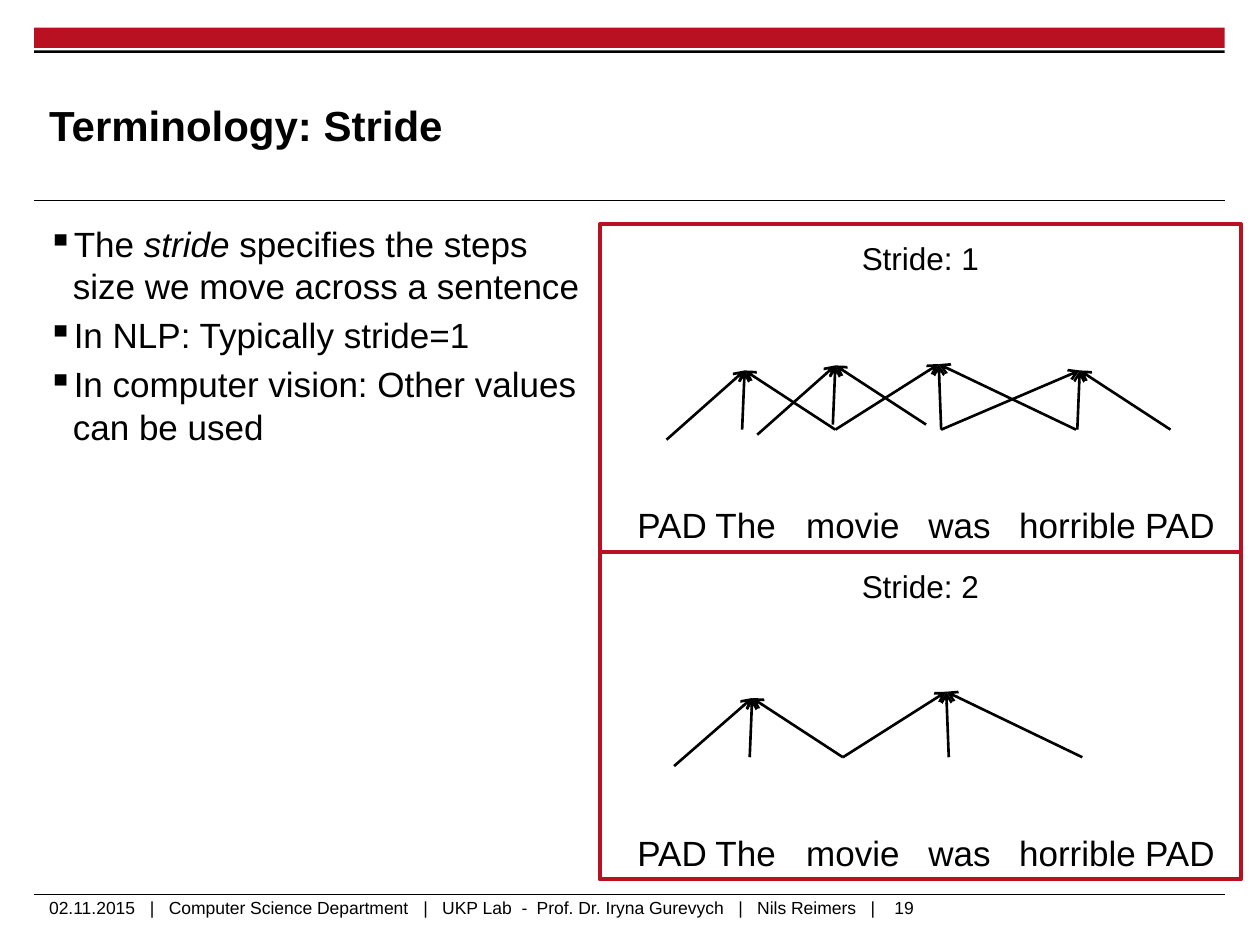
from lxml import etree
from pptx import Presentation
from pptx.dml.color import RGBColor
from pptx.enum import shapes, text
from pptx.oxml.ns import qn
from pptx.util import Inches, Pt


class Theme:
    font = "Arial"
    black = RGBColor(0x00, 0x00, 0x00)
    red = RGBColor(0xB9, 0x10, 0x22)
    title, body, label, footer = 24, 20, 18, 10
    rule, arrow, frame = 0.6, 1.5, 2.25


TITLE = "Terminology: Stride"
# Each bullet is a list of (text, italic) runs.
BULLETS = [
    [("The ", False), ("stride", True),
     (" specifies the steps size we move across a sentence", False)],
    [("In NLP: Typically stride=1", False)],
    [("In computer vision: Other values can be used", False)],
]
WORDS = ["PAD", "The", "movie", "was", "horrible", "PAD"]
WORD_TABS = [0.62, 1.34, 2.31, 3.03, 4.03]
FOOTER = ["02.11.2015", "|", "Computer Science Department", "|", "UKP Lab", "-",
          "Prof. Dr. Iryna Gurevych", "|", "Nils Reimers", "|"]
FOOTER_TABS = [0.80, 0.95, 2.97, 3.12, 3.75, 3.87, 5.47, 5.62, 6.52]
PAGE_NUMBER = "19"

# Each window is (tip, starts of the arrows that meet there).
PANELS = [
    ("Stride: 1", [
        ((5.91, 2.94), [(5.89, 3.41), (6.63, 3.41), (5.29, 3.49)]),
        ((6.63, 2.90), [(6.61, 3.37), (7.35, 3.37), (6.01, 3.45)]),
        ((7.45, 2.89), [(7.47, 3.41), (8.54, 3.41), (6.63, 3.41)]),
        ((8.57, 2.94), [(8.55, 3.41), (9.29, 3.41), (7.47, 3.41)]),
    ]),
    ("Stride: 2", [
        ((5.97, 5.54), [(5.95, 6.01), (6.69, 6.01), (5.35, 6.08)]),
        ((7.51, 5.49), [(7.53, 6.01), (8.59, 6.01), (6.69, 6.01)]),
    ]),
]
PANEL_LEFT, PANEL_TOP, PANEL_WIDTH, PANEL_HEIGHT = 4.76, 1.78, 5.09, 2.6


def add_rectangle(slide, box, fill=None, line=None):
    shape = slide.shapes.add_shape(shapes.MSO_SHAPE.RECTANGLE, *map(Inches, box))
    shape.shadow.inherit = False
    if fill is None:
        shape.fill.background()
    else:
        shape.fill.solid()
        shape.fill.fore_color.rgb = fill
    if line is None:
        shape.line.fill.background()
    else:
        shape.line.color.rgb = line
        shape.line.width = Pt(Theme.frame)


def add_line(slide, start, end, width, arrow=False):
    line = slide.shapes.add_connector(
        shapes.MSO_CONNECTOR.STRAIGHT, *map(Inches, start + end))
    line.line.color.rgb = Theme.black
    line.line.width = Pt(width)
    if arrow:
        etree.SubElement(line.line._get_or_add_ln(), qn("a:tailEnd"), type="arrow")
    etree.SubElement(line._element.spPr, qn("a:effectLst"))


def add_text_frame(slide, box, inset=True, wrap=True):
    frame = slide.shapes.add_textbox(*map(Inches, box)).text_frame
    frame.word_wrap = wrap
    if not inset:
        frame.margin_left = frame.margin_right = 0
        frame.margin_top = frame.margin_bottom = 0
    return frame


def style(paragraph, size, bold=False):
    font = paragraph.font
    font.name, font.size, font.bold = Theme.font, Pt(size), bold
    font.color.rgb = Theme.black


def write(frame, content, size, bold=False, align=None):
    paragraph = frame.paragraphs[0]
    paragraph.text = content
    paragraph.alignment = align
    style(paragraph, size, bold)


def write_tabbed(frame, parts, stops, size):
    """Set the parts on one line, each after the first at its own tab stop."""
    properties = frame.paragraphs[0]._p.get_or_add_pPr()
    tabs = etree.SubElement(properties, qn("a:tabLst"))
    for stop in stops:
        etree.SubElement(tabs, qn("a:tab"), pos=str(Inches(stop)), algn="l")
    write(frame, "\t".join(parts), size)


def add_bullets(slide):
    frame = add_text_frame(slide, (0.28, 1.72, 4.53, 1.99))
    for index, runs in enumerate(BULLETS):
        paragraph = frame.add_paragraph() if index else frame.paragraphs[0]
        if index:
            paragraph.space_before = Pt(4)
        properties = paragraph._p.get_or_add_pPr()
        properties.set("marL", str(Inches(0.2)))
        properties.set("indent", str(Inches(-0.2)))
        etree.SubElement(properties, qn("a:buChar"), char="▪")
        for content, italic in runs:
            run = paragraph.add_run()
            run.text = content
            if italic:
                run.font.italic = True
        style(paragraph, Theme.body)


def add_panel(slide, top, label, windows):
    for tip, starts in windows:
        for start in starts:
            add_line(slide, start, tip, Theme.arrow, arrow=True)
    sentence = add_text_frame(slide, (4.96, top + 2.17, 4.89, 0.43))
    write_tabbed(sentence, WORDS, WORD_TABS, Theme.body)
    heading = add_text_frame(slide, (PANEL_LEFT, top + 0.07, PANEL_WIDTH, 0.4))
    write(heading, label, Theme.label, align=text.PP_ALIGN.CENTER)
    add_rectangle(slide, (PANEL_LEFT, top, PANEL_WIDTH, PANEL_HEIGHT), line=Theme.red)


def add_page_frame(slide):
    add_rectangle(slide, (0.27, 0.22, 9.45, 0.16), fill=Theme.red)
    add_rectangle(slide, (0.27, 0.4, 9.45, 0.02), fill=Theme.black)
    for y in (1.59, 7.1):
        add_line(slide, (0.27, y), (9.72, y), Theme.rule)
    number = add_text_frame(slide, (7, 7.07, 0.48, 0.27), wrap=False)
    write(number, PAGE_NUMBER, Theme.footer)
    footer = add_text_frame(slide, (0.39, 7.12, 8.7, 0.25), inset=False)
    write_tabbed(footer, FOOTER, FOOTER_TABS, Theme.footer)
    title = add_text_frame(slide, (0.39, 0.53, 7.52, 0.92), inset=False)
    title.vertical_anchor = text.MSO_ANCHOR.MIDDLE
    write(title, TITLE, Theme.title, bold=True)


def main():
    presentation = Presentation()
    presentation.slide_width, presentation.slide_height = Inches(10), Inches(7.5)
    slide = presentation.slides.add_slide(presentation.slide_layouts[6])
    add_page_frame(slide)
    add_bullets(slide)
    for index, (label, windows) in enumerate(PANELS):
        add_panel(slide, PANEL_TOP + index * PANEL_HEIGHT, label, windows)
    presentation.save("out.pptx")


if __name__ == "__main__":
    main()
